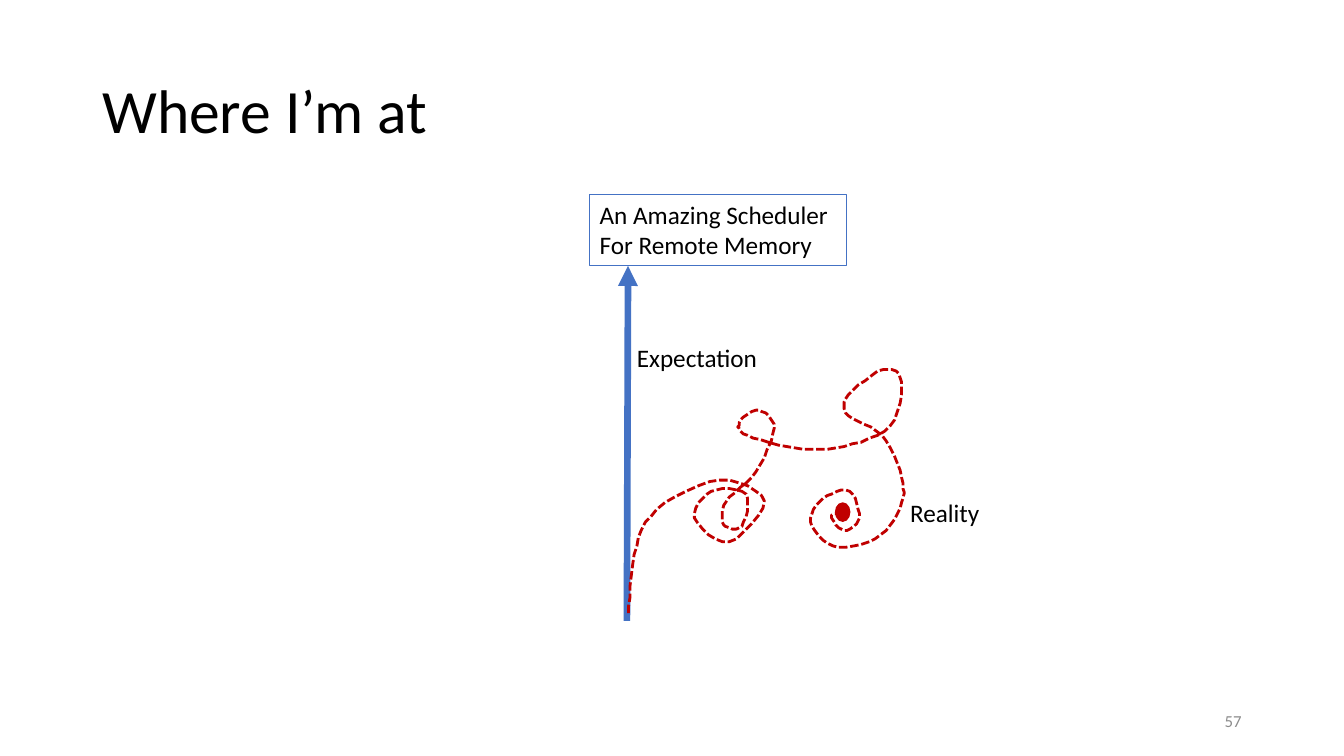
from dataclasses import dataclass

from lxml.etree import SubElement
from pptx import Presentation
from pptx.dml.color import RGBColor
from pptx.enum.dml import MSO_LINE
from pptx.enum.shapes import MSO_CONNECTOR, MSO_SHAPE
from pptx.enum.text import MSO_ANCHOR, MSO_AUTO_SIZE, PP_ALIGN
from pptx.oxml.ns import qn
from pptx.util import Pt


@dataclass(frozen=True)
class Theme:
    font: str = "Calibri"
    ink: RGBColor = RGBColor.from_string("000000")
    muted: RGBColor = RGBColor.from_string("8C8C8C")
    plan: RGBColor = RGBColor.from_string("4472C4")
    reality: RGBColor = RGBColor.from_string("C00000")
    title: int = 44
    body: int = 18
    footer: int = 12


theme = Theme()
deck = Presentation()
deck.slide_width, deck.slide_height = Pt(960), Pt(540)
page = deck.slides.add_slide(deck.slide_layouts[6])


def add_text(lines, left, top, width, height, size, color, wrap=False):
    box = page.shapes.add_textbox(Pt(left), Pt(top), Pt(width), Pt(height))
    frame = box.text_frame
    frame.word_wrap = wrap
    frame.auto_size = MSO_AUTO_SIZE.NONE if wrap else MSO_AUTO_SIZE.SHAPE_TO_FIT_TEXT
    frame.vertical_anchor = MSO_ANCHOR.MIDDLE if wrap else MSO_ANCHOR.TOP
    for index, line in enumerate(lines):
        para = frame.add_paragraph() if index else frame.paragraphs[0]
        span = para.add_run()
        span.text = line
        span.font.name = theme.font
        span.font.size = Pt(size)
        span.font.color.rgb = color
    return box


def curve_point(before, start, end, after, t):
    return tuple(
        b + t / 2 * (c - a + t * (2 * a - 5 * b + 4 * c - d + t * (3 * (b - c) + d - a)))
        for a, b, c, d in zip(before, start, end, after)
    )


title = add_text(["Where I’m at"], 66, 28.75, 828, 104.4, theme.title, theme.ink, wrap=True)
title.text_frame.paragraphs[0].line_spacing = 0.9

number = add_text(["57"], 678, 500.5, 216, 28.75, theme.footer, theme.muted, wrap=True)
number.text_frame.paragraphs[0].alignment = PP_ALIGN.RIGHT

arrow = page.shapes.add_connector(MSO_CONNECTOR.STRAIGHT, Pt(447.8), Pt(443.5), Pt(448.6), Pt(190))
arrow.line.color.rgb = theme.plan
arrow.line.width = Pt(4.75)
SubElement(arrow.line._get_or_add_ln(), qn("a:tailEnd"), type="triangle")
SubElement(arrow._element.spPr, qn("a:effectLst"))

goal = add_text(["An Amazing Scheduler", "For Remote Memory"],
                421.2, 139, 183.6, 50.9, theme.body, theme.ink)
goal.line.color.rgb = theme.plan
goal.line.width = Pt(0.75)

add_text(["Expectation"], 447.8, 241.2, 101.5, 29.1, theme.body, theme.ink)

journey = [
    (449, 438), (453, 396), (469, 364), (514, 343), (546, 358), (521, 387),
    (496, 370), (508, 351), (533, 353), (530, 376), (517, 375), (519, 358),
    (540, 337), (553, 306), (542, 293), (528, 302), (534, 311), (568, 320),
    (603, 319), (636, 304), (644, 273), (631, 264), (606, 282), (606, 297),
    (630, 311), (644, 341), (643, 363), (625, 385), (595, 390), (579, 373),
    (588, 356), (607, 351), (614, 370), (603, 379), (594, 369), (602, 366),
]
steps = 6
knots = [journey[0], *journey, journey[-1]]
trail = [
    curve_point(*knots[index:index + 4], step / steps)
    for index in range(len(journey) - 1)
    for step in range(1, steps + 1)
]
builder = page.shapes.build_freeform(*journey[0], scale=Pt(1))
builder.add_line_segments(trail, close=False)
squiggle = builder.convert_to_shape()
squiggle.shadow.inherit = False
squiggle.fill.background()
squiggle.line.color.rgb = theme.reality
squiggle.line.width = Pt(2)
squiggle.line.dash_style = MSO_LINE.SQUARE_DOT

dot = page.shapes.add_shape(MSO_SHAPE.OVAL, Pt(596.9), Pt(359.3), Pt(10.1), Pt(13))
dot.shadow.inherit = False
dot.fill.solid()
dot.fill.fore_color.rgb = theme.reality
dot.line.color.rgb = theme.reality
dot.line.width = Pt(1)

add_text(["Reality"], 643, 351.4, 64.8, 29.1, theme.body, theme.ink)

deck.save("out.pptx")
